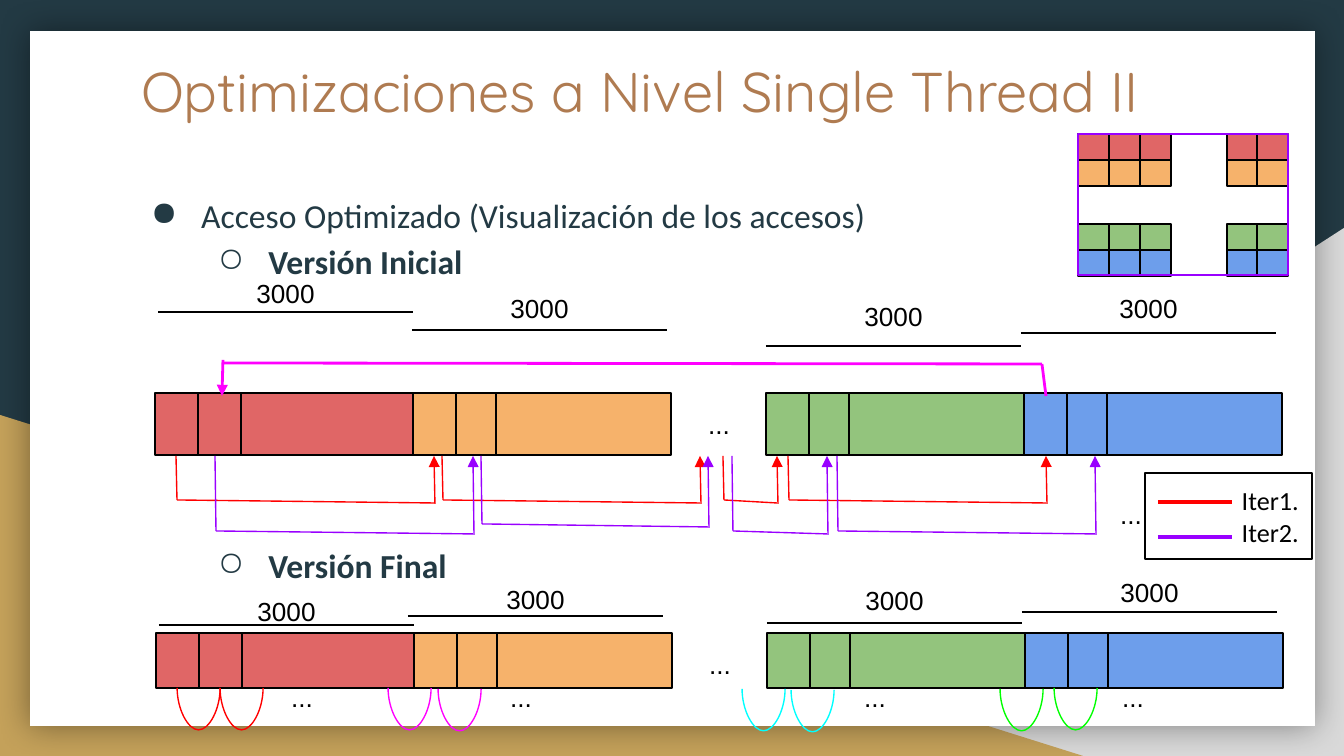
import pptx
import pptx.util
import pptx.dml.color
import pptx.enum.shapes
import pptx.enum.text
import pptx.oxml.ns
import lxml.etree

SCALE = 914400 / 134.4
SHAPE = pptx.enum.shapes.MSO_SHAPE
LINK = pptx.enum.shapes.MSO_CONNECTOR
ALIGN = pptx.enum.text.PP_ALIGN
ANCHOR = pptx.enum.text.MSO_ANCHOR

DARK, BLACK, WHITE = "233A44", "000000", "FFFFFF"
RED, PURPLE, PINK = "FF0000", "9900FF", "FF00FF"
CYAN, LIME = "00FFFF", "00FF00"
BANDS = ["E06666", "F6B26B", "93C47D", "6D9EEB"]


def px(*nums):
    return [round(n * SCALE) for n in nums]


def hue(code):
    return pptx.dml.color.RGBColor.from_string(code)


def sub(parent, tag, **attrs):
    """Append an empty DrawingML child to parent."""
    return lxml.etree.SubElement(parent, pptx.oxml.ns.qn("a:" + tag), attrs)


def frame(shape):
    return shape._element.spPr.find(pptx.oxml.ns.qn("a:xfrm"))


class Deck:
    """Holds the presentation, its style and the current slide."""

    def __init__(self):
        self.show = pptx.Presentation()
        self.show.slide_width, self.show.slide_height = px(1344, 756)
        self.slide = self.show.slides.add_slide(self.show.slide_layouts[5])
        self.shapes = self.slide.shapes

    def letter(self, shape, text, size, font="Arial", color=BLACK,
               align=ALIGN.LEFT, anchor=ANCHOR.TOP):
        """Put styled text into a shape."""
        box = shape.text_frame
        box.text = text
        box.word_wrap = True
        box.auto_size = pptx.enum.text.MSO_AUTO_SIZE.NONE
        box.vertical_anchor = anchor
        box.margin_left = box.margin_top = px(13)[0]
        box.margin_right = box.margin_bottom = px(13)[0]
        for para in box.paragraphs:
            para.alignment = align
            for run in para.runs:
                run.font.size = pptx.util.Pt(size)
                run.font.name = font
                run.font.color.rgb = hue(color)
        return box

    def title(self, text, *place):
        head = self.shapes.title
        head.left, head.top, head.width, head.height = px(*place)
        self.letter(head, text, 30, "Quicksand", "AF7B51")
        # The placeholder comes first in the tree; lift it above the card.
        self.shapes._spTree.append(head._element)

    def text(self, text, *place, size=14, **style):
        return self.letter(self.shapes.add_textbox(*px(*place)), text, size, **style)

    def bullets(self, items, *place):
        """Items are (text, level, space before in points)."""
        body = self.text("\n".join(item[0] for item in items), *place,
                         size=18, font="Calibri", color=DARK)
        for para, (_, level, gap) in zip(body.paragraphs, items):
            para.level = level
            para.line_spacing = 1.15
            para.space_before = pptx.util.Pt(gap)
            para.runs[0].font.bold = level > 0
            props = para._p.get_or_add_pPr()
            props.set("marL", str(457200 * (level + 1)))
            props.set("indent", "-342900")
            sub(sub(props, "buClr"), "srgbClr", val=DARK)
            sub(props, "buChar", char="●○"[level])

    def shape(self, kind, *place, fill=None, edge=None, width=0.75):
        item = self.shapes.add_shape(kind, *px(*place))
        item.shadow.inherit = False
        if fill:
            item.fill.solid()
            item.fill.fore_color.rgb = hue(fill)
        else:
            item.fill.background()
        if edge:
            item.line.color.rgb = hue(edge)
            item.line.width = pptx.util.Pt(width)
        else:
            item.line.fill.background()
        return item

    def ink(self, link, color, width, arrow=False):
        link.line.color.rgb = hue(color)
        link.line.width = pptx.util.Pt(width)
        if arrow:
            sub(link.line._ln, "tailEnd", type="triangle")
        sub(link._element.spPr, "effectLst")

    def line(self, *ends, color=BLACK, width=0.75, arrow=False):
        link = self.shapes.add_connector(LINK.STRAIGHT, *px(*ends))
        self.ink(link, color, width, arrow)

    def loop(self, x, y, color):
        """A curved connector that sags between two points 43 px apart."""
        span, mid = px(43, x + 21.5)
        top = px(y - 21.5)[0]
        link = self.shapes.add_connector(LINK.CURVE, mid, top, mid + 600, top + span)
        frame(link).set("rot", "16200000")
        frame(link).set("flipH", "1")
        geom = link._element.spPr.find(pptx.oxml.ns.qn("a:prstGeom"))
        guides = geom.find(pptx.oxml.ns.qn("a:avLst"))
        if guides is None:
            guides = sub(geom, "avLst")
        sub(guides, "gd", name="adj1", fmla="val 39687500")
        self.ink(link, color, 0.75)

    def route(self, start, end, depth, color):
        """Down from one cell, across, and up to another with an arrow."""
        self.line(start, 456, start + 1, depth, color=color)
        self.line(start + 1, depth, end, depth + 3, color=color)
        self.line(end + 1, depth + 4, end, 456, color=color, arrow=True)

    def memory(self, left, top, high):
        """Four rows of the matrix laid end to end."""
        for x, step, fill in zip((0, 258, 611, 869), (43, 40, 40, 40), BANDS):
            x += left
            for cell, wide in ((x + step, 43), (x + step + 43, 175), (x, 43)):
                self.shape(SHAPE.RECTANGLE, cell, top, wide, high, fill=fill, edge=BLACK)
        self.text("...", left + 517, top + 2, 94, high, align=ALIGN.CENTER)

    def length(self, x, y, top):
        self.line(x, y, x + 255, y)
        self.text("3000", x + 57, top, 141, 21, align=ALIGN.CENTER)

    def backdrop(self):
        back = self.slide.background.fill
        back.solid()
        back.fore_color.rgb = hue(DARK)
        gray = self.shape(SHAPE.RIGHT_TRIANGLE, 527, 228, 817, 528, fill="D9D9D9")
        frame(gray).set("flipH", "1")
        self.shape(SHAPE.RIGHT_TRIANGLE, 0, 415, 1083, 341, fill="C4A15A")
        card = self.shape(SHAPE.RECTANGLE, 30, 31, 1285, 695, fill=WHITE)
        glow = card._element.spPr.find(pptx.oxml.ns.qn("a:effectLst"))
        shade = sub(glow, "outerShdw", blurRad="228600", dist="0", algn="ctr", rotWithShape="0")
        sub(sub(shade, "srgbClr", val=BLACK), "alpha", val="40000")

    def matrix(self):
        for y, fill in zip((134, 160, 224, 250), BANDS):
            for x in (1078, 1109, 1140, 1227, 1257):
                self.shape(SHAPE.RECTANGLE, x, y, 31, 26, fill=fill, edge=BLACK)
        self.shape(SHAPE.RECTANGLE, 1078, 134, 210, 141, edge=PURPLE, width=1.5)

    def legend(self):
        box = self.shape(SHAPE.RECTANGLE, 1145, 473, 167, 86, edge=BLACK)
        self.letter(box, "Iter1.\nIter2.", 14, "Calibri",
                    align=ALIGN.RIGHT, anchor=ANCHOR.MIDDLE)
        for y, color in ((537, PURPLE), (502, RED)):
            self.line(1158, y, 1232, y, color=color, width=2.25)


def main():
    deck = Deck()
    deck.backdrop()
    deck.title("Optimizaciones a Nivel Single Thread II", 128, 43, 1103, 86)
    deck.bullets([("Acceso Optimizado (Visualización de los accesos)", 0, 0),
                  ("Versión Inicial", 1, 0),
                  ("Versión Final", 1, 138)], 121, 176, 761, 420)

    deck.memory(155, 393, 62)
    for spot in ((158, 312, 267), (412, 330, 282), (766, 346, 290), (1021, 333, 282)):
        deck.length(*spot)
    for start, end in ((176, 434), (442, 700), (723, 777), (788, 1046)):
        deck.route(start, end, 500, RED)
    deck.line(1046, 396, 1042, 364, color=PINK, width=1.5)
    deck.line(1042, 364, 222, 363, color=PINK, width=1.5)
    deck.line(223, 360, 222, 396, color=PINK, width=1.5, arrow=True)
    for start, end, depth in ((215, 473, 531), (481, 708, 524),
                              (732, 827, 531), (837, 1095, 531)):
        deck.route(start, end, depth, PURPLE)
    deck.text("...", 1107, 488, 54, 21)

    deck.memory(156, 633, 55)
    for spot in ((159, 625, 585), (408, 616, 573), (767, 623, 574), (1022, 612, 566)):
        deck.length(*spot)
    for x, y, color in ((177, 688, RED), (220, 688, RED), (388, 688, PINK),
                        (438, 689, PINK), (742, 689, CYAN), (791, 690, CYAN),
                        (1000, 689, LIME), (1054, 688, LIME)):
        deck.loop(x, y, color)
    for x in (278, 497, 851, 1109):
        deck.text("...", x, 671, 75, 21)

    deck.matrix()
    deck.legend()
    deck.show.save("out.pptx")


if __name__ == "__main__":
    main()
